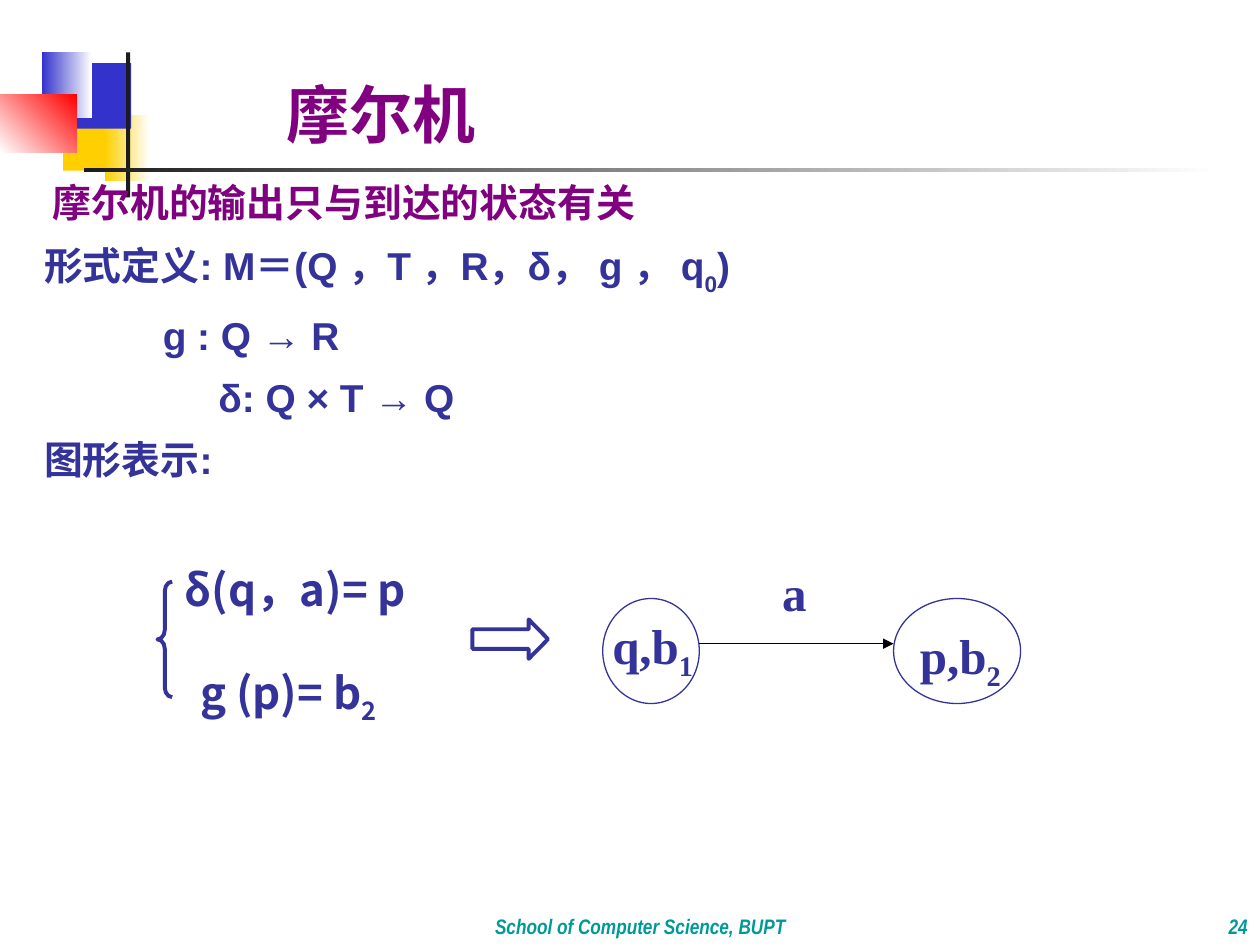
from lxml.etree import SubElement
from pptx import Presentation
from pptx.dml.color import RGBColor
from pptx.enum.shapes import MSO_CONNECTOR, MSO_SHAPE
from pptx.enum.text import MSO_ANCHOR, MSO_AUTO_SIZE, PP_ALIGN
from pptx.oxml.ns import qn
from pptx.util import Inches, Pt

COLORS = {name: RGBColor.from_string(value) for name, value in {
    "yellow": "FFCF01", "blue": "3333CC", "red": "FF0000", "white": "FFFFFF",
    "dark": "1C1C1C", "purple": "800080", "navy": "333399", "teal": "009999",
    "black": "000000"}.items()}
CJK, SERIF, NARROW = "Noto Sans CJK SC", "Times New Roman", "Arial Narrow"

deck = Presentation()
deck.slide_width, deck.slide_height = Inches(10), Inches(7.5)
CELL = deck.slide_width / 120  # grid of 120 columns by 90 rows
page = deck.slides.add_slide(deck.slide_layouts[1])
title, body = page.placeholders


def grid(*cells):
    return [round(cell * CELL) for cell in cells]


def add_span(para, text, font, size, color, baseline=0):
    """Add one bold run; baseline is in percent, negative for a subscript."""
    span = para.add_run()
    span.text = text
    span.font.name, span.font.size, span.font.bold = font, Pt(size), True
    span.font.color.rgb = COLORS[color]
    properties = span.font._element
    SubElement(properties, qn("a:ea")).set("typeface", CJK)
    if baseline:
        properties.set("baseline", str(baseline * 1000))
    return span


# Corner ornament: cells, start colour, end colour of the gradient, angle
ornaments = [
    ((6, 10, 5.75, 6.25), "yellow", None, 0),
    ((10, 11, 4.25, 6.25), "yellow", "white", 0),
    ((7, 6, 5.5, 6.25), "blue", None, 0),
    ((4, 5, 4.75, 6.25), "blue", "white", 0),
    ((0, 9, 7.33, 5.5), "white", "red", 45),
    ((12, 5, 0.4, 13.8), "dark", None, 0),
    ((8, 16, 108, 0.4), "dark", "white", 0),
]
for cells, start, end, angle in ornaments:
    block = page.shapes.add_shape(MSO_SHAPE.RECTANGLE, *grid(*cells))
    block.shadow.inherit = False
    block.line.fill.background()
    if end:
        block.fill.gradient()
        block.fill.gradient_angle = angle
        for stop, color in zip(block.fill.gradient_stops, (start, end)):
            stop.color.rgb = COLORS[color]
    else:
        block.fill.solid()
        block.fill.fore_color.rgb = COLORS[start]

# Title and body lie in front of the ornament
for holder, cells, anchor in ((title, (15, 4, 44, 11), MSO_ANCHOR.BOTTOM),
                              (body, (3, 16, 112, 36), MSO_ANCHOR.TOP)):
    holder.left, holder.top, holder.width, holder.height = grid(*cells)
    holder.text_frame.vertical_anchor = anchor
    holder.text_frame.auto_size = MSO_AUTO_SIZE.NONE
    holder.text_frame.word_wrap = True
    page.shapes.element.append(holder.element)

heading = title.text_frame.paragraphs[0]
heading.alignment = PP_ALIGN.CENTER
add_span(heading, "摩尔机 ", "Calibri", 36, "purple")

# Body lines: indent in columns, font, colour, runs with their baseline
lines = [
    (0.8, CJK, "purple", [("摩尔机的输出只与到达的状态有关", 0)]),
    (0, "Arial", "navy", [("形式定义: M＝(Q ，T ，R，δ， g ， q", 0), ("0", -30), (")", 0)]),
    (11.3, "Arial", "navy", [("g : Q → R", 0)]),
    (16.6, "Arial", "navy", [("δ: Q × T → Q", 0)]),
    (0, "Arial", "navy", [("图形表示:", 0)]),
]
for number, (indent, font, color, spans) in enumerate(lines):
    frame = body.text_frame
    para = frame.add_paragraph() if number else frame.paragraphs[0]
    para.alignment = PP_ALIGN.JUSTIFY
    para.line_spacing, para.space_before = 1.1, Pt(6)
    properties = para._p.get_or_add_pPr()
    properties.set("marL", str(grid(indent)[0]))
    properties.set("indent", "0")
    SubElement(properties, qn("a:buNone"))
    for text, baseline in spans:
        add_span(para, text, font, 22.2, color, baseline)

# State diagram
diagram = [
    (MSO_SHAPE.LEFT_BRACE, (15, 55.4, 1.4, 11), 2.25, (0.64, 0.5)),
    (MSO_SHAPE.RIGHT_ARROW, (45, 59, 7.2, 3.75), 2.25, (0.5, 0.49)),
    (MSO_SHAPE.OVAL, (57.4, 57, 9.2, 10), 0.75, ()),
    (MSO_SHAPE.OVAL, (85.1, 57, 12.1, 10), 0.75, ()),
]
for kind, cells, weight, adjustments in diagram:
    shape = page.shapes.add_shape(kind, *grid(*cells))
    shape.shadow.inherit = False
    shape.line.color.rgb, shape.line.width = COLORS["navy"], Pt(weight)
    if kind == MSO_SHAPE.LEFT_BRACE:
        shape.fill.background()
    else:
        shape.fill.solid()
        shape.fill.fore_color.rgb = COLORS["white"]
    for index, value in enumerate(adjustments):
        shape.adjustments[index] = value

transition = page.shapes.add_connector(MSO_CONNECTOR.STRAIGHT, *grid(66.6, 61.3, 85.1, 61.3))
transition.line.color.rgb, transition.line.width = COLORS["black"], Pt(0.75)
SubElement(transition.line._get_or_add_ln(), qn("a:tailEnd")).set("type", "triangle")
SubElement(transition._element.spPr, qn("a:effectLst"))

# Labels: cells, font, size, alignment, wrap, space before, runs
labels = [
    ((16.4, 53, 27.5, 6.25), CJK, 25, PP_ALIGN.LEFT, True, 0, [("δ(q，a)= p", 0)]),
    ((17.9, 62.8, 23.2, 7), CJK, 25, PP_ALIGN.LEFT, True, 0, [("g (p)= b", 0), ("2", -25)]),
    ((57.1, 58, 10.1, 7.5), SERIF, 28, PP_ALIGN.RIGHT, False, 7, [("q,b", 0), ("1", -25)]),
    ((86.4, 59, 10.1, 7.5), SERIF, 28, PP_ALIGN.RIGHT, False, 7, [("p,b", 0), ("2", -25)]),
    ((73.3, 53, 4.7, 6.8), SERIF, 28, PP_ALIGN.RIGHT, False, 7, [("a", 0)]),
]
for cells, font, size, alignment, wrap, before, spans in labels:
    box = page.shapes.add_textbox(*grid(*cells))
    box.text_frame.word_wrap = wrap
    box.text_frame.auto_size = MSO_AUTO_SIZE.SHAPE_TO_FIT_TEXT
    para = box.text_frame.paragraphs[0]
    para.alignment, para.space_before = alignment, Pt(before)
    for text, baseline in spans:
        add_span(para, text, font, size, "navy", baseline)

# Footer and slide number
for cells, text, alignment, spacing in (
        ((19, 84, 84, 6), "School of Computer Science, BUPT", PP_ALIGN.CENTER, 1.1),
        ((100, 84, 20, 6), "24", PP_ALIGN.RIGHT, 1.0)):
    box = page.shapes.add_textbox(*grid(*cells))
    box.text_frame.word_wrap = True
    box.text_frame.vertical_anchor = MSO_ANCHOR.BOTTOM
    para = box.text_frame.paragraphs[0]
    para.alignment, para.line_spacing = alignment, spacing
    add_span(para, text, NARROW, 12, "teal").font.italic = True

deck.save("out.pptx")
